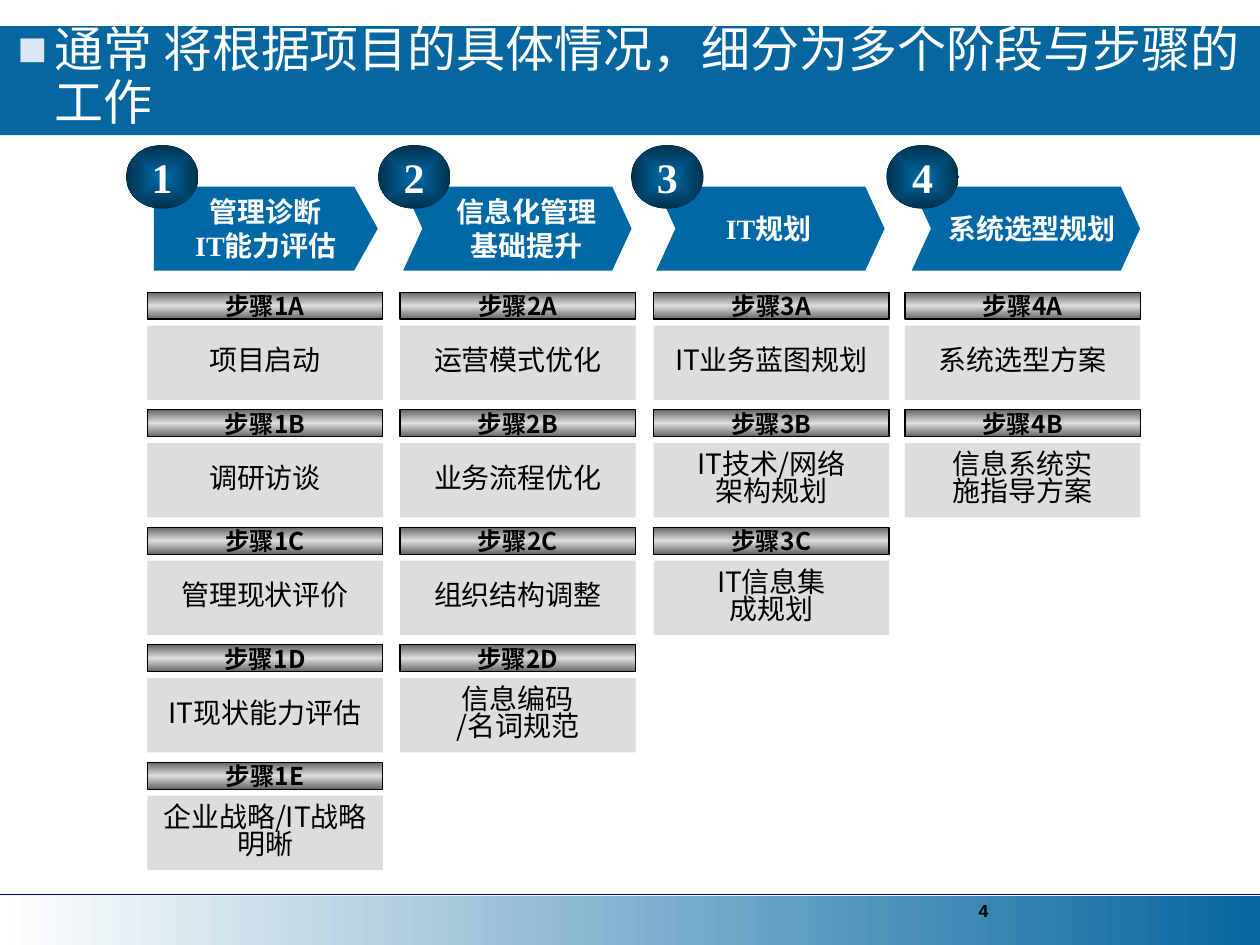
from pptx import Presentation
from pptx.dml.color import RGBColor
from pptx.enum.shapes import MSO_CONNECTOR, MSO_SHAPE
from pptx.enum.text import MSO_ANCHOR, PP_ALIGN
from pptx.oxml import parse_xml
from pptx.oxml.ns import nsdecls, qn
from pptx.util import Pt

WHITE = RGBColor(0xFF, 0xFF, 0xFF)
BLACK = RGBColor(0x00, 0x00, 0x00)
BAND_BLUE = RGBColor(0x06, 0x66, 0x9F)
ARROW_BLUE = RGBColor(0x00, 0x68, 0xA5)
DEEP_BLUE = RGBColor(0x00, 0x30, 0x4C)
RULE_BLUE = RGBColor(0x00, 0x00, 0x99)
BULLET_BLUE = RGBColor(0xDA, 0xE8, 0xF1)
LIGHT_GRAY = RGBColor(0xDD, 0xDD, 0xDD)
DARK_GRAY = RGBColor(0x66, 0x66, 0x66)

CJK_FONT = "Noto Sans CJK SC"
TITLE_FORMAT = {"name": "Arial", "size": Pt(28), "bold": False}
PAGE_FORMAT = {"name": "Arial", "size": Pt(10), "bold": True}
NUMBER_FORMAT = {"name": "Times New Roman", "size": Pt(24), "bold": True}
PHASE_FORMAT = {"name": "Times New Roman", "size": Pt(16), "bold": True}
STEP_FORMAT = {"name": CJK_FONT, "size": Pt(14), "bold": True}
TASK_FORMAT = {"name": CJK_FONT, "size": Pt(16), "bold": False}

LINEAR = '<a:lin ang="{}" scaled="0"/>'
FROM_CENTRE = ('<a:path path="rect"><a:fillToRect l="50000" t="50000" '
               'r="50000" b="50000"/></a:path>')

ROW_TOP, ROW_PITCH = 167, 67.15
STEP_WIDTH, STEP_HEIGHT = 134.6, 15.4
TASK_OFFSET, TASK_HEIGHT = 19, 42.5
ARROW_TOP, ARROW_HEIGHT = 106.6, 48

# Lefts of badge, arrow, heading and steps; arrow width, tip and notch;
# heading lines; tasks.
PHASES = [
    ((72, 87.9, 86.4, 84.2), (128, 13.5, 0), "管理诊断\nIT能力评估",
     ["项目启动", "调研访谈", "管理现状评价", "IT现状能力评估", "企业战略/IT战略明晰"]),
    ((216, 230.4, 235.4, 228.6), (130.5, 11, 11), "信息化管理\n基础提升",
     ["运营模式优化", "业务流程优化", "组织结构调整", "信息编码\n/名词规范"]),
    ((360.6, 375, 373.7, 373.5), (130.5, 11, 11), "IT规划",
     ["IT业务蓝图规划", "IT技术/网络\n架构规划", "IT信息集\n成规划"]),
    ((506.5, 521, 524.2, 517.1), (130.5, 11, 11), "系统选型规划",
     ["系统选型方案", "信息系统实\n施指导方案"]),
]


def fill_gradient(shape, stops, direction):
    """Fill with (percent, colour) stops; direction is the a:lin or a:path XML."""
    shape.fill.gradient()
    gradient = shape._element.spPr.find(qn("a:gradFill"))
    stop_xml = "".join(
        f'<a:gs pos="{percent * 1000}"><a:srgbClr val="{color}"/></a:gs>'
        for percent, color in stops)
    gradient.getparent().replace(gradient, parse_xml(
        f'<a:gradFill {nsdecls("a")} rotWithShape="1">'
        f'<a:gsLst>{stop_xml}</a:gsLst>{direction}</a:gradFill>'))


def write_text(shape, text, font_format, color, align=PP_ALIGN.CENTER,
               spacing=1.0, wrap=False, anchor=MSO_ANCHOR.MIDDLE):
    frame = shape.text_frame
    frame.word_wrap = wrap
    frame.vertical_anchor = anchor
    frame.text = text
    for paragraph in frame.paragraphs:
        paragraph.alignment = align
        paragraph.line_spacing = spacing
        font = paragraph.runs[0].font
        for name, value in font_format.items():
            setattr(font, name, value)
        font.color.rgb = color
        paragraph.runs[0]._r.get_or_add_rPr().find(qn("a:latin")).addnext(
            parse_xml(f'<a:ea {nsdecls("a")} typeface="{CJK_FONT}"/>'))


def add_box(slide, kind, left, top, width, height, color=None):
    shape = slide.shapes.add_shape(kind, Pt(left), Pt(top), Pt(width), Pt(height))
    shape.shadow.inherit = False
    shape.line.fill.background()
    if color is not None:
        shape.fill.solid()
        shape.fill.fore_color.rgb = color
    return shape


def add_text_box(slide, left, top, width, height, *args, **options):
    box = slide.shapes.add_textbox(Pt(left), Pt(top), Pt(width), Pt(height))
    write_text(box, *args, **options)
    return box


def add_footer(slide, left, top, width, height):
    band = add_box(slide, MSO_SHAPE.RECTANGLE, left, top, width, height)
    fill_gradient(band, [(0, WHITE), (100, BAND_BLUE)], LINEAR.format(0))
    rule = slide.shapes.add_connector(
        MSO_CONNECTOR.STRAIGHT, Pt(left), Pt(top - 0.9), Pt(left + width), Pt(top - 0.9))
    rule.line.color.rgb = RULE_BLUE
    rule.line.width = Pt(1)
    rule._element.spPr.append(parse_xml(f'<a:effectLst {nsdecls("a")}/>'))
    add_text_box(slide, left + 552.2, top - 1.5, 167.8, 26, "4", PAGE_FORMAT, BLACK,
                 align=PP_ALIGN.LEFT, wrap=True, anchor=MSO_ANCHOR.TOP)


def add_title(slide, left, top, width, height):
    add_box(slide, MSO_SHAPE.RECTANGLE, left, top, width, height, BAND_BLUE)
    box = add_text_box(slide, left + 3, top, width - 3, height - 2.6,
                       "通常 将根据项目的具体情况，细分为多个阶段与步骤的工作",
                       TITLE_FORMAT, WHITE, align=PP_ALIGN.LEFT, spacing=0.9, wrap=True)
    properties = box.text_frame.paragraphs[0]._p.get_or_add_pPr()
    properties.set("marL", str(Pt(21)))
    properties.set("indent", str(Pt(-21)))
    for bullet in (f'<a:buClr {nsdecls("a")}><a:srgbClr val="{BULLET_BLUE}"/></a:buClr>',
                   f'<a:buFont {nsdecls("a")} typeface="Arial"/>',
                   f'<a:buChar {nsdecls("a")} char="■"/>'):
        properties.append(parse_xml(bullet))


def add_arrow(slide, left, top, width, height, tip, notch):
    right, middle, bottom = left + width, top + height / 2, top + height
    corners = [(right - tip, top), (right, middle), (right - tip, bottom), (left, bottom)]
    if notch:
        corners.append((left + notch, middle))
    builder = slide.shapes.build_freeform(Pt(left), Pt(top))
    builder.add_line_segments([(Pt(x), Pt(y)) for x, y in corners], close=True)
    arrow = builder.convert_to_shape()
    arrow.shadow.inherit = False
    arrow.fill.solid()
    arrow.fill.fore_color.rgb = ARROW_BLUE
    arrow.line.fill.background()


def add_step(slide, left, top, width, label, task):
    bar = add_box(slide, MSO_SHAPE.RECTANGLE, left, top, width, STEP_HEIGHT)
    fill_gradient(bar, [(0, DARK_GRAY), (50, LIGHT_GRAY), (100, DARK_GRAY)],
                  LINEAR.format(5400000))
    bar.line.color.rgb = BLACK
    bar.line.width = Pt(0.75)
    write_text(bar, label, STEP_FORMAT, BLACK)
    panel = add_box(slide, MSO_SHAPE.RECTANGLE, left, top + TASK_OFFSET,
                    width, TASK_HEIGHT, LIGHT_GRAY)
    write_text(panel, task, TASK_FORMAT, BLACK, spacing=0.8, wrap=True)


def add_phase(slide, number, lefts, arrow_shape, heading, tasks):
    badge_left, arrow_left, heading_left, step_left = lefts
    width, tip, notch = arrow_shape
    add_arrow(slide, arrow_left, ARROW_TOP, width, ARROW_HEIGHT, tip, notch)
    badge = add_box(slide, MSO_SHAPE.OVAL, badge_left, 82.8, 41.4, 36.5)
    fill_gradient(badge, [(0, ARROW_BLUE), (100, DEEP_BLUE)], FROM_CENTRE)
    write_text(badge, str(number), NUMBER_FORMAT, WHITE)
    add_text_box(slide, heading_left, ARROW_TOP, 131, ARROW_HEIGHT,
                 heading, PHASE_FORMAT, WHITE)
    for row, (letter, task) in enumerate(zip("ABCDE", tasks)):
        add_step(slide, step_left, ROW_TOP + row * ROW_PITCH, STEP_WIDTH,
                 f"步骤{number}{letter}", task)


def main():
    presentation = Presentation()
    presentation.slide_width = Pt(720)
    presentation.slide_height = Pt(540)
    slide = presentation.slides.add_slide(presentation.slide_layouts[6])
    add_footer(slide, 0, 512, 720, 28)
    add_title(slide, 0, 14.9, 720, 62.4)
    for number, phase in enumerate(PHASES, start=1):
        add_phase(slide, number, *phase)
    presentation.save("out.pptx")


if __name__ == "__main__":
    main()
